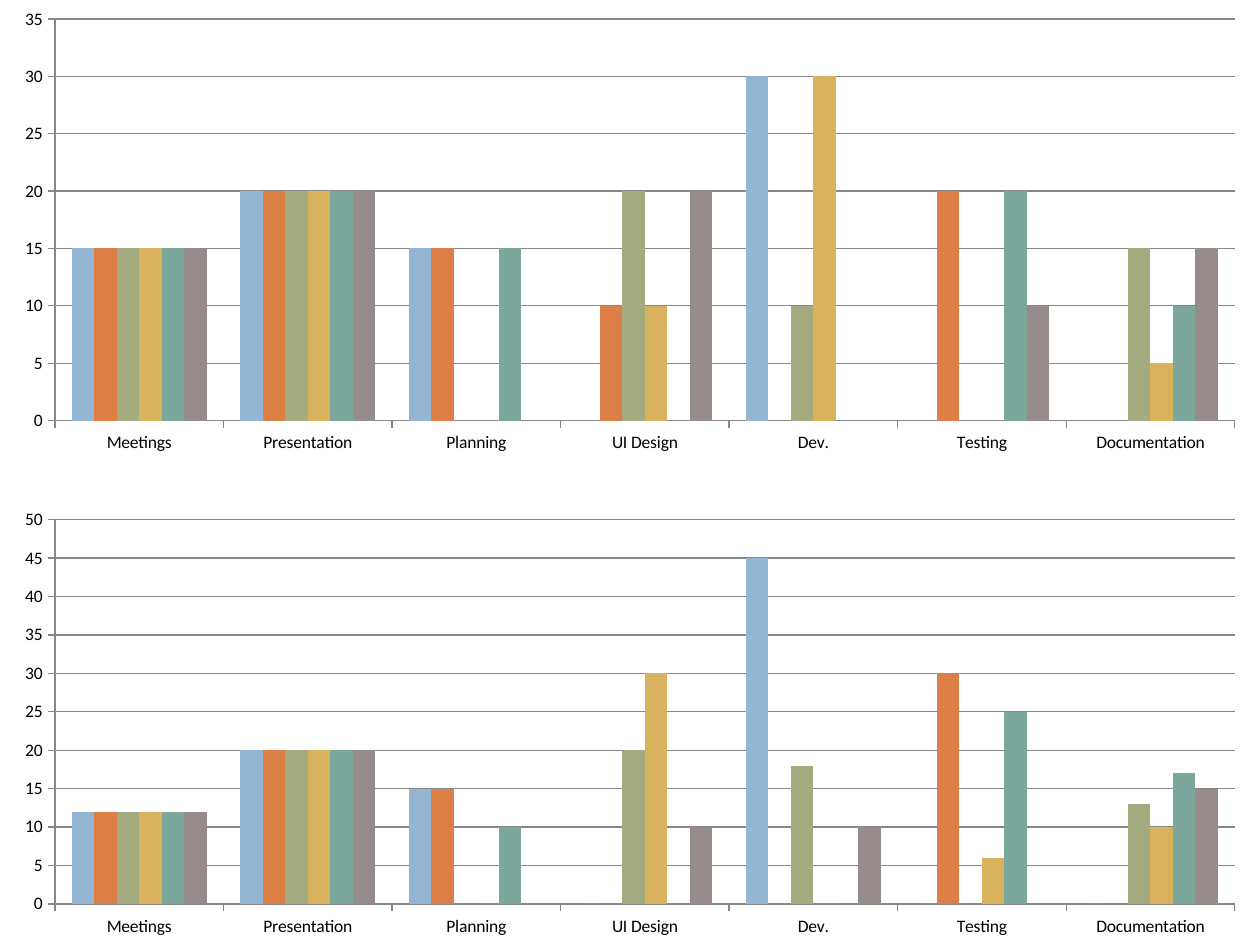
from pptx import Presentation
from pptx.chart.data import CategoryChartData
from pptx.dml.color import RGBColor
from pptx.enum.chart import XL_CHART_TYPE, XL_TICK_MARK
from pptx.util import Pt

PX = 914400 // 126  # EMU per pixel
WIDE, HIGH = 1260, 945

BLACK = RGBColor(0x00, 0x00, 0x00)
GRAY = RGBColor(0x87, 0x87, 0x87)
BLUE = RGBColor(0x94, 0xB6, 0xD2)
ORANGE = RGBColor(0xDD, 0x80, 0x47)
GREEN = RGBColor(0xA5, 0xAB, 0x81)
GOLD = RGBColor(0xD8, 0xB2, 0x5C)
TEAL = RGBColor(0x7B, 0xA7, 0x9D)
TAUPE = RGBColor(0x96, 0x8C, 0x8C)
COLORS = [BLUE, ORANGE, GREEN, GOLD, TEAL, TAUPE]

TASKS = ["Meetings", "Presentation", "Planning", "UI Design", "Dev.",
         "Testing", "Documentation"]

# One row per series, one value per task
UPPER = [
    [15, 20, 15, 0, 30, 0, 0],
    [15, 20, 15, 10, 0, 20, 0],
    [15, 20, 0, 20, 10, 0, 15],
    [15, 20, 0, 10, 30, 0, 5],
    [15, 20, 15, 0, 0, 20, 10],
    [15, 20, 0, 20, 0, 10, 15],
]
LOWER = [
    [12, 20, 15, 0, 45, 0, 0],
    [12, 20, 15, 0, 0, 30, 0],
    [12, 20, 0, 20, 18, 0, 13],
    [12, 20, 0, 30, 0, 6, 10],
    [12, 20, 10, 0, 0, 25, 17],
    [12, 20, 0, 10, 10, 0, 15],
]


def add_bars(slide, box, rows, top):
    """Place a clustered column chart in box, with values from 0 to top."""
    data = CategoryChartData()
    data.categories = TASKS
    for num, row in enumerate(rows, 1):
        data.add_series(f"Series {num}", row)
    frame = slide.shapes.add_chart(
        XL_CHART_TYPE.COLUMN_CLUSTERED, *(n * PX for n in box), data)
    chart = frame.chart
    chart.has_title = False
    chart.has_legend = False
    chart.font.name = "Calibri"
    chart.font.size = Pt(10)
    chart.font.color.rgb = BLACK

    # Columns
    plot = chart.plots[0]
    plot.gap_width = 150
    plot.overlap = 0
    plot.vary_by_categories = False
    for series, color in zip(plot.series, COLORS):
        series.format.fill.solid()
        series.format.fill.fore_color.rgb = color

    # Axes and grid
    scale = chart.value_axis
    scale.minimum_scale, scale.maximum_scale = 0, top
    scale.major_unit = 5
    scale.has_major_gridlines = True
    for axis in (chart.category_axis, scale):
        axis.major_tick_mark = XL_TICK_MARK.OUTSIDE
        axis.minor_tick_mark = XL_TICK_MARK.NONE
    for part in (chart.category_axis, scale, scale.major_gridlines):
        part.format.line.color.rgb = GRAY
        part.format.line.width = Pt(0.75)


deck = Presentation()
deck.slide_width, deck.slide_height = WIDE * PX, HIGH * PX
page = deck.slides.add_slide(deck.slide_layouts[6])
add_bars(page, (0, 0, WIDE, 462), UPPER, 35)
add_bars(page, (0, 501, WIDE, 444), LOWER, 50)
deck.save("out.pptx")
